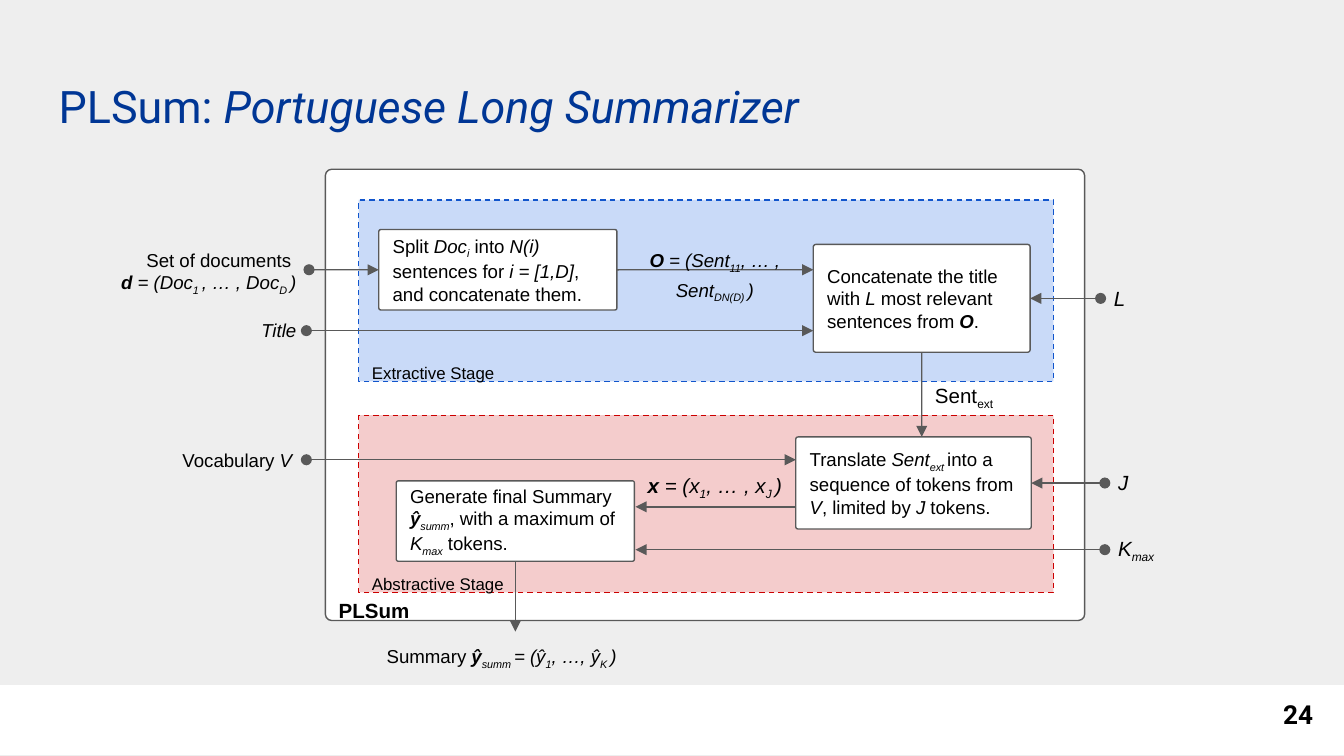
from dataclasses import dataclass
from typing import NamedTuple

from lxml import etree
from pptx import Presentation
from pptx.dml.color import RGBColor
from pptx.enum.dml import MSO_LINE
from pptx.enum.shapes import MSO_CONNECTOR, MSO_SHAPE
from pptx.enum.text import MSO_ANCHOR, MSO_AUTO_SIZE, PP_ALIGN
from pptx.oxml.ns import qn
from pptx.util import Cm, Pt

RECTANGLE, ROUNDED = MSO_SHAPE.RECTANGLE, MSO_SHAPE.ROUNDED_RECTANGLE
STRAIGHT, DASH = MSO_CONNECTOR.STRAIGHT, MSO_LINE.DASH
LEFT, CENTER, RIGHT = PP_ALIGN.LEFT, PP_ALIGN.CENTER, PP_ALIGN.RIGHT
TOP, MIDDLE, BOTTOM = MSO_ANCHOR.TOP, MSO_ANCHOR.MIDDLE, MSO_ANCHOR.BOTTOM
NO_AUTOFIT = MSO_AUTO_SIZE.NONE
LEFT_SIDE, BOTTOM_SIDE, RIGHT_SIDE = 1, 2, 3
TITLE_ONLY = 5
MARGIN = 0.25
LINE_WIDTH = Pt(0.75)

COLORS = {
    "background": "EEEEEE", "white": "FFFFFF", "text": "000000",
    "title": "003695", "outline": "595959",
    "extractive": "C9DAF8", "extractive line": "1155CC",
    "abstractive": "F4CCCC", "abstractive line": "CC0000",
}


class Area(NamedTuple):
    left: float
    top: float
    width: float
    height: float


class Run(NamedTuple):
    """Styles: b for bold, i for italic, s for subscript."""
    text: str
    styles: str = ""


class Line(NamedTuple):
    runs: list[Run]
    spacing: float = 1.0


@dataclass
class Panel:
    area: Area
    fill: str
    line: str | None = None
    corner: float = 0
    dashed: bool = False


@dataclass
class Label:
    area: Area
    lines: list[Line]
    size: float = 10
    align: int = LEFT
    anchor: int = TOP
    font: str = "Arial"


class Arrow(NamedTuple):
    """Each end is a point (x, y) or a joint (step name, side)."""
    start: tuple
    end: tuple
    dotted: bool = False


def line(*runs: tuple | str, spacing: float = 1.0) -> Line:
    return Line([Run(run) if isinstance(run, str) else Run(*run) for run in runs], spacing)


PANELS = [
    Panel(Area(0, 12.95, 25.4, 1.32), "white"),
    Panel(Area(6.15, 3.2, 14.35, 8.53), "white", "outline", 0.014),
    Panel(Area(6.78, 3.78, 13.13, 3.43), "extractive", "extractive line", dashed=True),
    Panel(Area(6.78, 7.85, 13.13, 3.35), "abstractive", "abstractive line", dashed=True),
]

STEPS = {
    "split": (Area(7.16, 4.34, 4.5, 1.52), line(
        "Split ", ("Doc", "i"), ("i", "is"), " into ", ("N(i)", "i"), " sentences for ",
        ("i = [1,D]", "i"), ", and concatenate them.")),
    "concatenate": (Area(15.37, 4.62, 4.1, 2.04), line(
        "Concatenate the title with ", ("L", "i"), " most relevant sentences from ",
        ("O", "bi"), ".")),
    "translate": (Area(15.04, 8.26, 4.45, 1.74), line(
        "Translate ", ("Sent", "i"), ("ext ", "is"), "into a sequence of tokens from ",
        ("V", "i"), ", limited by ", ("J", "i"), " tokens.")),
    "generate": (Area(7.49, 9.09, 4.5, 1.52), line(
        "Generate final Summary ", ("ŷ", "bi"), ("summ", "is"), ", with a maximum of ",
        ("K", "i"), ("max", "is"), " tokens.")),
}

LABELS = [
    Label(Area(6.15, 11.28, 3.48, 0.74), [line(("PLSum", "b"))], 11, anchor=BOTTOM),
    Label(Area(6.78, 6.6, 3.48, 0.89), [line("Extractive Stage")], 9),
    Label(Area(6.78, 10.59, 4.11, 0.89), [line("Abstractive Stage")], 9),
    Label(Area(1.91, 4.39, 3.94, 1.42), [
        line("Set of documents ", spacing=1.15),
        line(("d ", "bi"), ("= (Doc", "i"), ("1 ", "is"), (", … , Doc", "i"),
             ("D ", "is"), (")", "i"))], align=RIGHT),
    Label(Area(3.56, 5.77, 2.29, 0.94), [line(("Title", "i"))], align=RIGHT),
    Label(Area(3, 8.23, 2.77, 0.94), [line("Vocabulary ", ("V", "i"))], align=RIGHT),
    Label(Area(11.35, 4.39, 4.32, 1.42), [
        line(("O", "bi"), (" = (Sent", "i"), ("11", "is"), (", … , Sent", "i"),
             ("DN(D) ", "is"), (")", "i"), spacing=1.15)], align=CENTER),
    Label(Area(17.42, 6.99, 2.13, 0.99), [line("Sent", ("ext", "s"))], 11),
    Label(Area(11.99, 8.69, 3.05, 0.99), [
        line(("x ", "bi"), ("= (x", "i"), ("1", "is"), (", … , x", "i"),
             ("J ", "is"), (")", "i"))], 11),
    Label(Area(20.8, 5.16, 1.45, 0.99), [line(("L", "i"))], 11),
    Label(Area(20.88, 8.64, 0.74, 0.99), [line(("J", "i"))], 11),
    Label(Area(20.88, 9.88, 1.45, 0.99), [line(("K", "i"), ("max", "is"))], 11),
    Label(Area(7.06, 11.94, 5.36, 0.94), [
        line("Summary ", ("ŷ", "bi"), ("summ ", "is"), ("= (ŷ", "i"), ("1", "is"),
             (", …, ŷ", "i"), ("K ", "is"), (")", "i"))]),
    Label(Area(23.55, 12.95, 1.52, 1.09), [line(("24", "b"))], 14, RIGHT, MIDDLE, "Roboto"),
]

ARROWS = [
    Arrow((5.84, 5.1), ("split", LEFT_SIDE), True),
    Arrow(("split", RIGHT_SIDE), (15.37, 5.1)),
    Arrow((5.79, 6.25), (15.37, 6.25), True),
    Arrow((20.8, 5.64), ("concatenate", RIGHT_SIDE), True),
    Arrow(("concatenate", BOTTOM_SIDE), (17.42, 8.26)),
    Arrow((5.79, 8.69), (15.04, 8.69), True),
    Arrow((20.88, 9.13), ("translate", RIGHT_SIDE), True),
    Arrow((15.04, 9.58), (12.01, 9.58)),
    Arrow((20.88, 10.39), (12.01, 10.39), True),
    Arrow(("generate", BOTTOM_SIDE), (9.74, 11.94)),
]


def color(name: str) -> RGBColor:
    return RGBColor.from_string(COLORS[name])


def lengths(area: Area) -> list[Cm]:
    return [Cm(value) for value in area]


def write(frame, lines: list[Line], size: float, align=LEFT, anchor=TOP,
          font="Arial", text_color="text") -> None:
    frame.word_wrap = True
    frame.auto_size = NO_AUTOFIT
    frame.vertical_anchor = anchor
    frame.margin_left = frame.margin_right = Cm(MARGIN)
    frame.margin_top = frame.margin_bottom = Cm(MARGIN)
    for index, (runs, spacing) in enumerate(lines):
        paragraph = frame.add_paragraph() if index else frame.paragraphs[0]
        paragraph.alignment = align
        paragraph.line_spacing = spacing
        paragraph.font.name = font
        paragraph.font.size = Pt(size)
        paragraph.font.color.rgb = color(text_color)
        for text, styles in runs:
            run = paragraph.add_run()
            run.text = text
            run.font.bold = "b" in styles
            run.font.italic = "i" in styles
            if "s" in styles:
                run._r.get_or_add_rPr().set("baseline", "-25000")


def add_panel(slide, panel: Panel):
    kind = ROUNDED if panel.corner else RECTANGLE
    shape = slide.shapes.add_shape(kind, *lengths(panel.area))
    shape.shadow.inherit = False
    shape.fill.solid()
    shape.fill.fore_color.rgb = color(panel.fill)
    if panel.corner:
        shape.adjustments[0] = panel.corner
    if panel.line:
        shape.line.color.rgb = color(panel.line)
        shape.line.width = LINE_WIDTH
    else:
        shape.line.fill.background()
    if panel.dashed:
        shape.line.dash_style = DASH
    return shape


def add_arrow(slide, arrow: Arrow, steps: dict) -> None:
    start_joined, end_joined = (isinstance(end[0], str) for end in arrow[:2])
    start = (0, 0) if start_joined else arrow.start
    end = (0, 0) if end_joined else arrow.end
    connector = slide.shapes.add_connector(STRAIGHT, *map(Cm, start + end))
    if start_joined:
        name, side = arrow.start
        connector.begin_connect(steps[name], side)
    if end_joined:
        name, side = arrow.end
        connector.end_connect(steps[name], side)
    connector.line.color.rgb = color("outline")
    connector.line.width = LINE_WIDTH
    outline = connector.line._get_or_add_ln()
    if arrow.dotted:
        etree.SubElement(outline, qn("a:headEnd"), type="oval")
    etree.SubElement(outline, qn("a:tailEnd"), type="triangle")
    etree.SubElement(connector._element.spPr, qn("a:effectLst"))


def main() -> None:
    presentation = Presentation()
    presentation.slide_width, presentation.slide_height = Cm(25.4), Cm(14.29)
    slide = presentation.slides.add_slide(presentation.slide_layouts[TITLE_ONLY])
    slide.background.fill.solid()
    slide.background.fill.fore_color.rgb = color("background")

    title = slide.shapes.title
    title.left, title.top, title.width, title.height = lengths(Area(0.86, 1.24, 23.67, 1.6))
    write(title.text_frame, [line("PLSum: ", ("Portuguese Long Summarizer", "i"))], 24,
          font="Roboto", text_color="title")

    for panel in PANELS:
        add_panel(slide, panel)
    steps = {}
    for name, (area, text) in STEPS.items():
        steps[name] = add_panel(slide, Panel(area, "white", "outline", 0.025))
        write(steps[name].text_frame, [text], 10, anchor=MIDDLE)
    for arrow in ARROWS:
        add_arrow(slide, arrow, steps)
    for label in LABELS:
        box = slide.shapes.add_textbox(*lengths(label.area))
        write(box.text_frame, label.lines, label.size, label.align, label.anchor, label.font)
    presentation.save("out.pptx")


if __name__ == "__main__":
    main()
